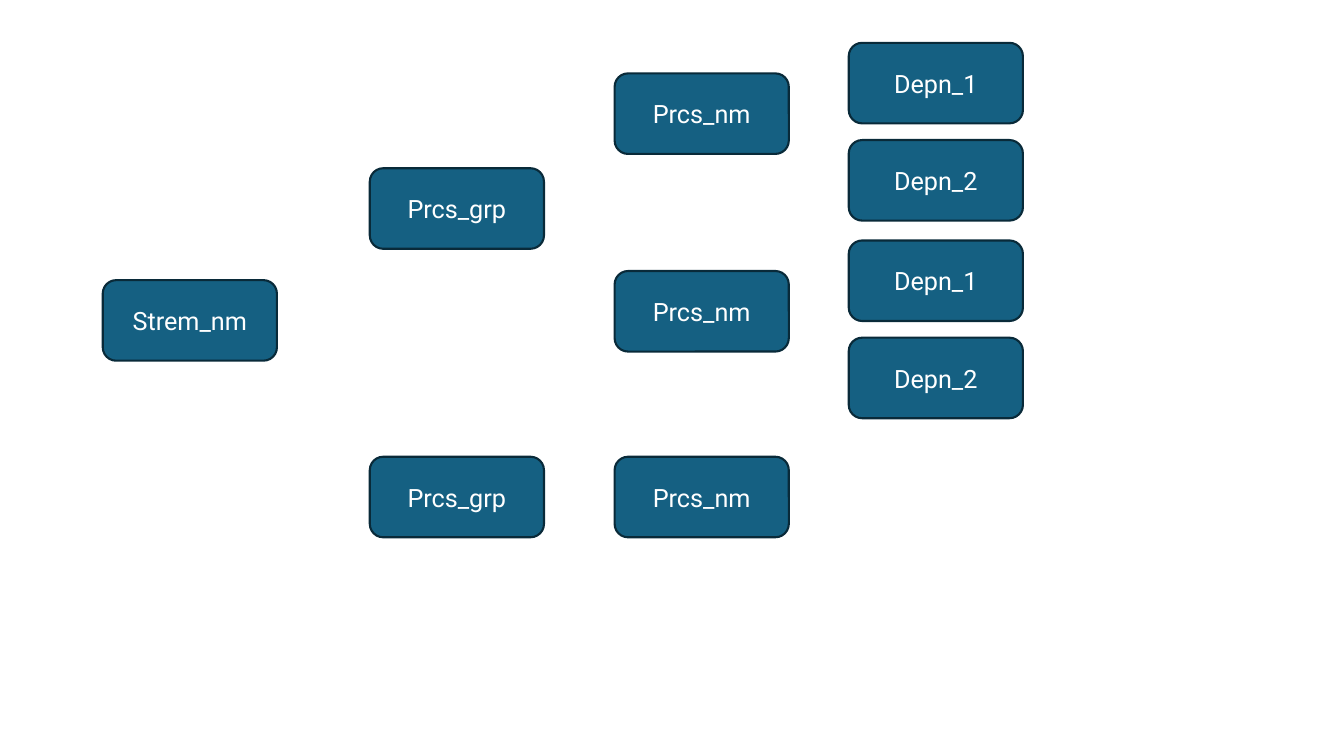
"""Draw a tree of stream, process groups, processes and dependencies."""
from pptx import Presentation
from pptx.dml.color import RGBColor
from pptx.enum.shapes import MSO_SHAPE
from pptx.enum.text import MSO_ANCHOR, PP_ALIGN
from pptx.util import Cm, Pt

BLUE = RGBColor(0x15, 0x60, 0x82)
NAVY = RGBColor(0x09, 0x2A, 0x39)
WHITE = RGBColor(0xFF, 0xFF, 0xFF)
FONT = {"name": "Roboto", "size": Pt(18)}
WIDTH, HEIGHT = 4.39, 2.03
LEFTS = {"Strem": 2.59, "Prcs_grp": 9.32, "Prcs_nm": 15.49, "Depn": 21.39}
RISE, STEP = 0.77, 2.45

deck = Presentation()
deck.slide_width, deck.slide_height = Cm(33.87), Cm(19.05)
slide = deck.slides.add_slide(deck.slide_layouts[6])


def add_node(label, left, top):
    node = slide.shapes.add_shape(
        MSO_SHAPE.ROUNDED_RECTANGLE, Cm(left), Cm(top), Cm(WIDTH), Cm(HEIGHT))
    node.shadow.inherit = False
    node.fill.solid()
    node.fill.fore_color.rgb = BLUE
    node.line.color.rgb = NAVY
    node.line.width = Pt(1.5)
    frame = node.text_frame
    frame.vertical_anchor = MSO_ANCHOR.MIDDLE
    para = frame.paragraphs[0]
    para.alignment = PP_ALIGN.CENTER
    run = para.add_run()
    run.text = label
    run.font.color.rgb = WHITE
    for key, value in FONT.items():
        setattr(run.font, key, value)


groups = [
    (4.24, [(1.85, 2), (6.83, 2)]),
    (11.51, [(11.51, 0)]),
]

add_node("Strem_nm", LEFTS["Strem"], 7.06)
for group_top, tasks in groups:
    add_node("Prcs_grp", LEFTS["Prcs_grp"], group_top)
    for task_top, count in tasks:
        add_node("Prcs_nm", LEFTS["Prcs_nm"], task_top)
        for i in range(count):
            add_node(f"Depn_{i + 1}", LEFTS["Depn"], task_top - RISE + i * STEP)

deck.save("out.pptx")
